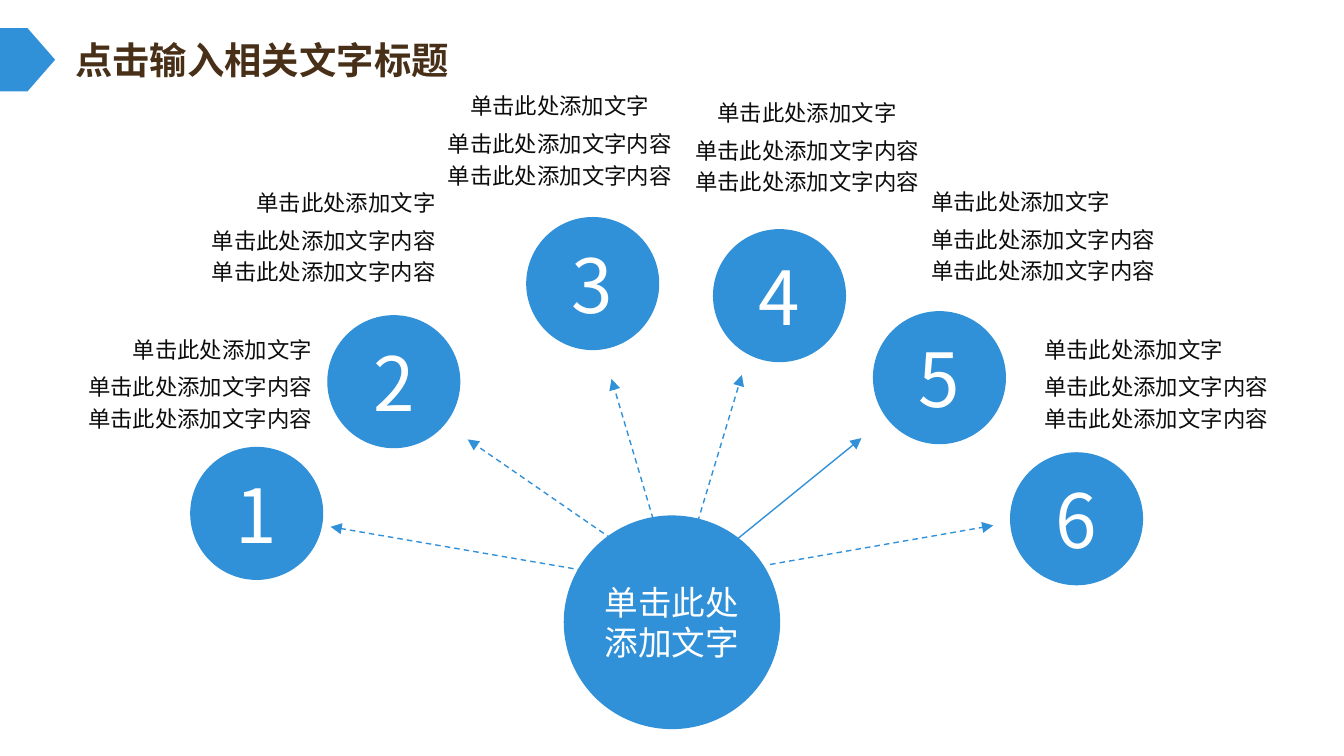
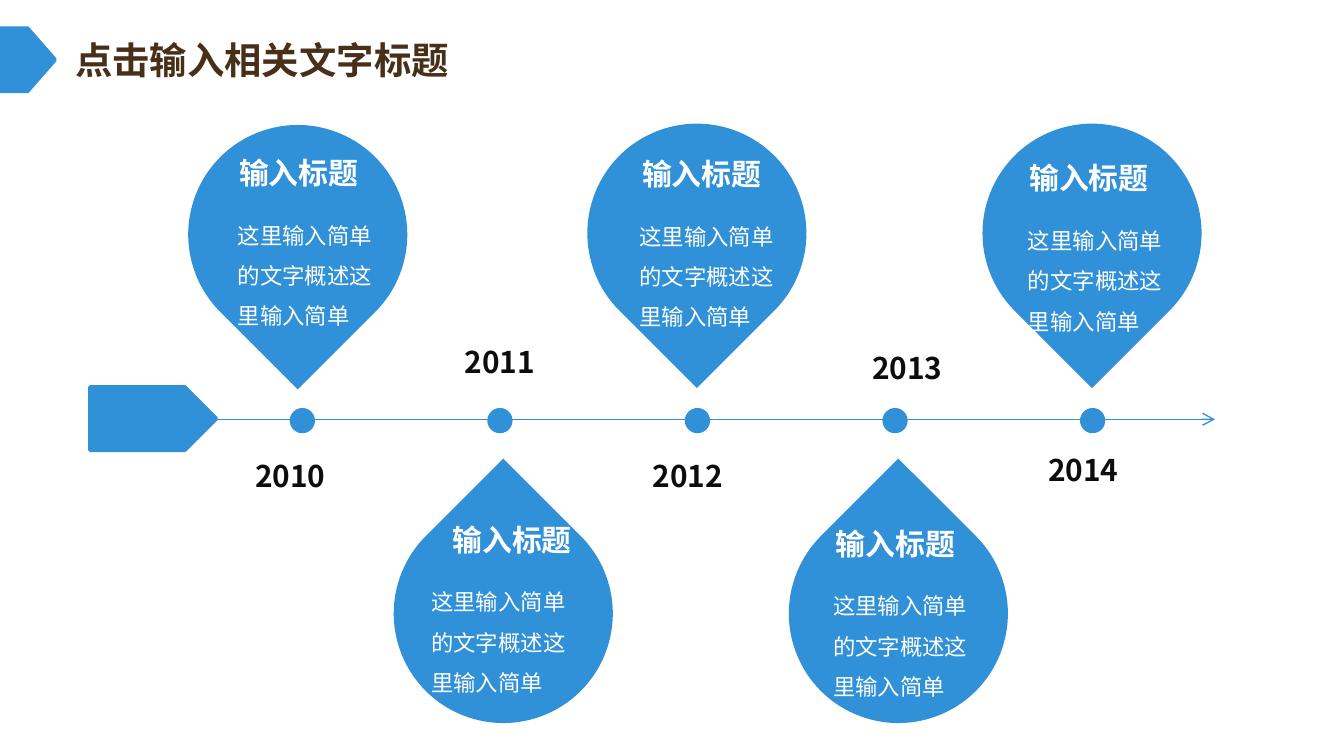
from lxml.etree import SubElement
from pptx import Presentation
from pptx.dml.color import RGBColor
from pptx.enum.dml import MSO_LINE
from pptx.enum.shapes import MSO_CONNECTOR, MSO_SHAPE as SHAPE
from pptx.enum.text import MSO_ANCHOR as ANCHOR, MSO_AUTO_SIZE as AUTO, PP_ALIGN as ALIGN
from pptx.oxml.ns import qn
from pptx.util import Inches, Pt

FONT = "Noto Sans CJK SC"
BLUE, BROWN, INK, WHITE = "3090D8", "483018", "0D0D0D", "FFFFFF"
LEFT, CENTER, RIGHT = ALIGN.LEFT, ALIGN.CENTER, ALIGN.RIGHT

TITLE = "点击输入相关文字标题"
HUB = ["单击此处", "添加文字"]
STEP_HEAD = "单击此处添加文字"
STEP_BODY = ["单击此处添加文字内容"] * 2
# circle left/top, text left/top, alignment, arrow start, arrow end, dashed
STEPS = [
    ((1.42, 3.33), (0.25, 2.45), RIGHT, (4.55, 4.28), (2.46, 3.92), True),
    ((2.44, 2.35), (1.17, 1.36), RIGHT, (4.61, 4.05), (3.48, 3.27), True),
    ((3.92, 1.62), (3.08, 0.64), CENTER, (4.88, 3.93), (4.55, 2.82), True),
    ((5.31, 1.71), (4.92, 0.69), CENTER, (5.15, 4.02), (5.52, 2.79), True),
    ((6.50, 2.32), (6.83, 1.35), LEFT, (5.45, 4.04), (6.41, 3.26), False),
    ((7.52, 3.37), (7.67, 2.45), LEFT, (5.73, 4.20), (7.39, 3.91), True),
]
CIRCLE, STEP_W, HEAD_W = 0.98, 2.17, 1.66

PIN_HEAD = "输入标题"
PIN_BODY = "这里输入简单的文字概述这里输入简单"
# year, year left/top, pin left/top, heading left/top, body left
MILESTONES = [
    ("2010", (1.80, 3.36), (1.40, 0.93), (1.68, 1.10), 1.67),
    ("2011", (3.36, 2.51), (2.93, 3.75), (3.27, 3.83), 3.11),
    ("2012", (4.76, 3.36), (4.37, 0.92), (4.68, 1.11), 4.66),
    ("2013", (6.39, 2.55), (5.87, 3.75), (6.12, 3.86), 6.10),
    ("2014", (7.70, 3.31), (7.31, 0.92), (7.56, 1.14), 7.55),
]
PIN, DOT, AXIS_Y = 1.63, 0.16, 3.12
DOT_X, DOT_STEP = 2.17, 1.47


def rgb(color):
    return RGBColor.from_string(color)


def write(tf, text, size=12, color=INK, bold=False, align=LEFT, spacing=None, before=None):
    """Fill a text frame with one paragraph per string."""
    for i, line in enumerate([text] if isinstance(text, str) else text):
        p = tf.add_paragraph() if i else tf.paragraphs[0]
        p.alignment = align
        if spacing:
            p.line_spacing = spacing
        if before and i:
            p.space_before = Pt(before)
        r = p.add_run()
        r.text = line
        r.font.size, r.font.bold, r.font.name = Pt(size), bold, FONT
        r.font.color.rgb = rgb(color)
        SubElement(r._r.get_or_add_rPr(), qn("a:ea")).set("typeface", FONT)


def add_text(s, text, x, y, w, h, wrap=True, **fmt):
    tf = s.shapes.add_textbox(Inches(x), Inches(y), Inches(w), Inches(h)).text_frame
    tf.word_wrap = wrap
    tf.auto_size = AUTO.SHAPE_TO_FIT_TEXT
    write(tf, text, **fmt)


def add_blue(s, kind, x, y, w, h, line=0, turn=0, text=None, size=18):
    """Blue preset shape with an outline of `line` points and optional white text."""
    sp = s.shapes.add_shape(kind, Inches(x), Inches(y), Inches(w), Inches(h))
    sp.shadow.inherit = False
    sp.rotation = turn
    sp.fill.solid()
    sp.fill.fore_color.rgb = rgb(BLUE)
    if line:
        sp.line.color.rgb = rgb(BLUE)
        sp.line.width = Pt(line)
    else:
        sp.line.fill.background()
    if text:
        tf = sp.text_frame
        tf.word_wrap = False
        tf.vertical_anchor = ANCHOR.MIDDLE
        write(tf, text, size=size, color=WHITE, align=CENTER)


def add_arrow(s, start, end, head="triangle", dashed=False):
    c = s.shapes.add_connector(MSO_CONNECTOR.STRAIGHT, *map(Inches, start + end))
    c.line.color.rgb = rgb(BLUE)
    c.line.width = Pt(0.75)
    if dashed:
        c.line.dash_style = MSO_LINE.DASH
    SubElement(c.line._get_or_add_ln(), qn("a:tailEnd")).set("type", head)
    SubElement(c._element.spPr, qn("a:effectLst"))


def new_slide(prs, tag_line=0):
    s = prs.slides.add_slide(prs.slide_layouts[6])
    add_blue(s, SHAPE.PENTAGON, 0, 0.21, 0.41, 0.47, line=tag_line)
    add_text(s, TITLE, 0.46, 0.23, 3.01, 0.44, wrap=False,
             size=20, color=BROWN, bold=True)
    return s


def radial_slide(prs):
    s = new_slide(prs)
    for *_, start, end, dashed in STEPS:
        add_arrow(s, start, end, dashed=dashed)
    slack = {LEFT: 0, CENTER: (STEP_W - HEAD_W) / 2, RIGHT: STEP_W - HEAD_W}
    for number, (circle, (x, y), align, *_) in enumerate(STEPS, 1):
        add_blue(s, SHAPE.OVAL, *circle, CIRCLE, CIRCLE, line=0.75,
                 text=str(number), size=40)
        add_text(s, STEP_BODY, x, y + 0.28, STEP_W, 0.55, align=align, before=2.5)
        add_text(s, STEP_HEAD, x + slack[align], y, HEAD_W, 0.3, align=align)
    add_blue(s, SHAPE.OVAL, 4.2, 3.84, 1.6, 1.58, line=0.75, text=HUB)


def timeline_slide(prs):
    s = new_slide(prs, tag_line=2)
    add_blue(s, SHAPE.PENTAGON, 0.67, 2.88, 0.94, 0.47, line=2)
    add_arrow(s, (1.52, AXIS_Y), (9.04, AXIS_Y), head="arrow")
    for i, (year, year_at, pin, (x, y), body_x) in enumerate(MILESTONES):
        add_blue(s, SHAPE.OVAL, DOT_X + i * DOT_STEP, 3.05, DOT, DOT, line=2)
        above = pin[1] < AXIS_Y
        add_blue(s, SHAPE.TEAR, *pin, PIN, PIN, turn=135 if above else 315)
        add_text(s, PIN_BODY, body_x, y + 0.4, 1.21, 1.01, color=WHITE, spacing=1.5)
        add_text(s, PIN_HEAD, x, y, 1.72, 0.37, size=16, color=WHITE, bold=True)
        add_text(s, year, *year_at, 0.86, 0.37, size=16, bold=True)


def main():
    prs = Presentation()
    prs.slide_width = Inches(10)
    prs.slide_height = prs.slide_width * 9 // 16
    radial_slide(prs)
    timeline_slide(prs)
    prs.save("out.pptx")


if __name__ == "__main__":
    main()
